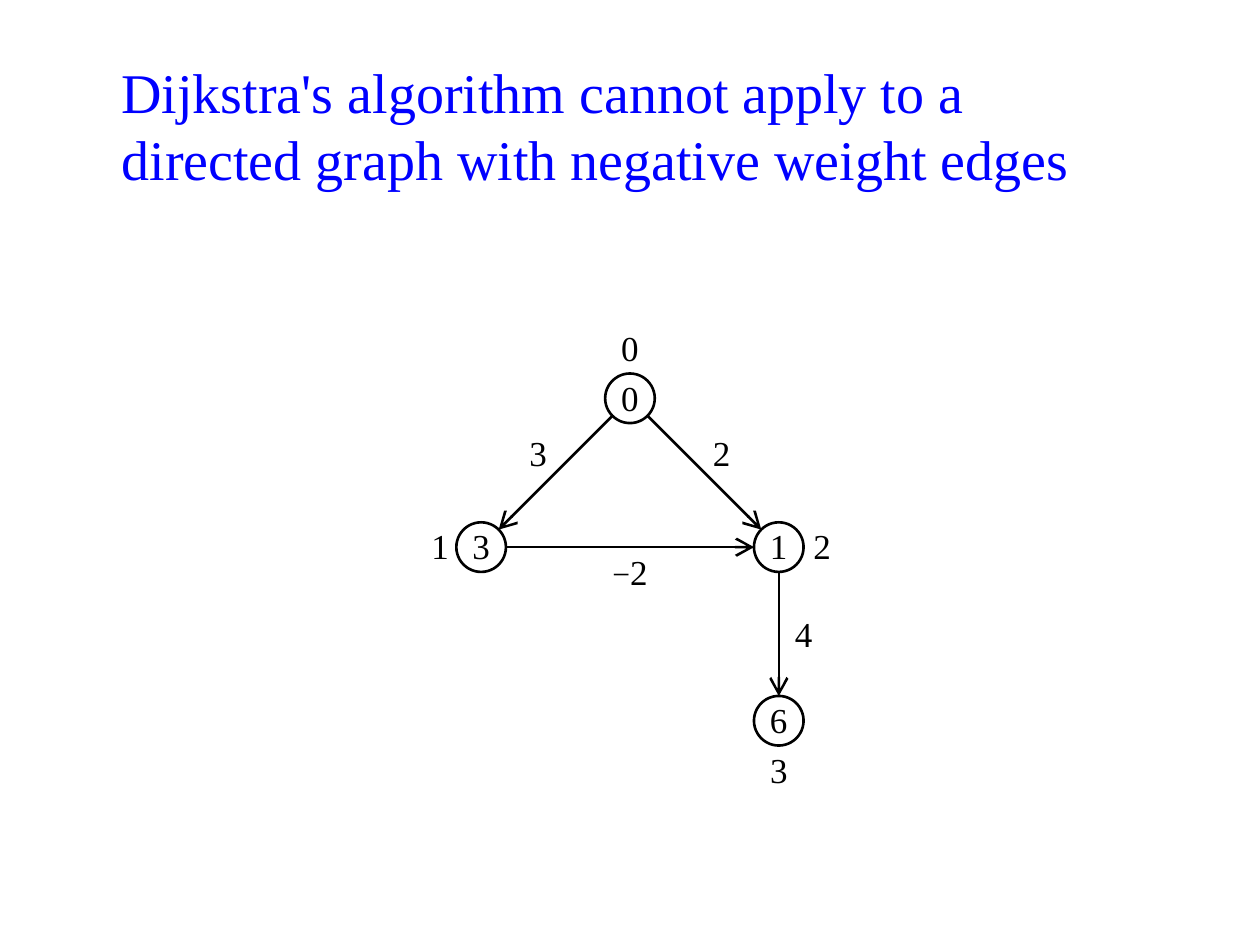
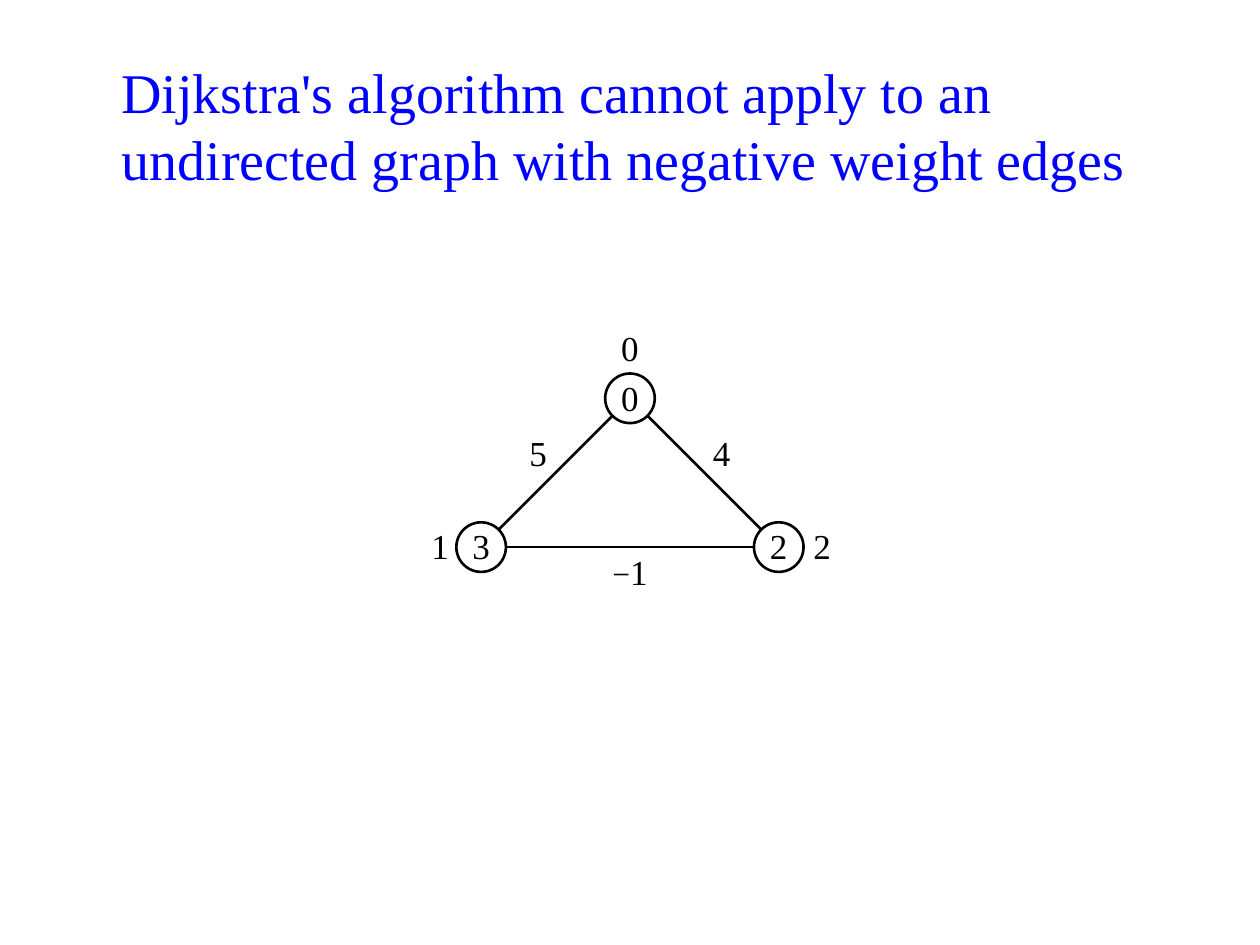
from math import hypot

from lxml.etree import SubElement
from pptx import Presentation
from pptx.dml.color import RGBColor
from pptx.enum.shapes import MSO_CONNECTOR as Link, MSO_SHAPE as Form
from pptx.enum.text import MSO_ANCHOR as Anchor, PP_ALIGN as Align
from pptx.oxml.ns import qn
from pptx.util import Cm, Pt

BLUE = RGBColor(0x00, 0x00, 0xFF)
BLACK = RGBColor(0x00, 0x00, 0x00)
WHITE = RGBColor(0xFF, 0xFF, 0xFF)
FONT = "Times New Roman"
SIZE = 1
STEP = 3
MID_X, TOP_Y = 12.7, 8.03

SPOTS = {
    "top": (MID_X, TOP_Y),
    "left": (MID_X - STEP, TOP_Y + STEP),
    "right": (MID_X + STEP, TOP_Y + STEP),
    "low": (MID_X + STEP, TOP_Y + STEP + 3.5),
}
EVEN = (0.25, 0, 0.25, 0.05)
FLAT = (0, 0, 0, 0)
TAGS = {
    "top": ("0", 0, -1, Align.CENTER, EVEN),
    "left": ("1", -1, 0, Align.RIGHT, (0.25, 0, 0.15, 0.05)),
    "right": ("2", 1, 0, Align.LEFT, (0.2, 0, 0.25, 0.05)),
    "low": ("3", 0, 1, Align.CENTER, EVEN),
}
EDGES = {
    ("top", "left"): (-0.5, -0.5, (0.3, 0.2, 0, 0)),
    ("top", "right"): (0.5, -0.5, (0, 0.2, 0.3, 0)),
    ("left", "right"): (0, 0.5, FLAT),
    ("right", "low"): (0.5, 0, FLAT),
}


def add_run(para, text, size, color):
    """Append one run in the shared font."""
    run = para.add_run()
    run.text = text
    run.font.name = FONT
    run.font.size = Pt(size)
    run.font.color.rgb = color


def set_frame(frame, insets, wrap):
    """Set insets, wrapping and middle anchoring of a text frame."""
    left, top, right, bottom = map(Cm, insets)
    frame.margin_left, frame.margin_top = left, top
    frame.margin_right, frame.margin_bottom = right, bottom
    frame.vertical_anchor = Anchor.MIDDLE
    frame.word_wrap = wrap


def write_mark(shape, text, align, insets):
    """Write a number into a shape, with a smaller minus sign."""
    set_frame(shape.text_frame, insets, False)
    para = shape.text_frame.paragraphs[0]
    para.alignment = align
    for sign in text:
        add_run(para, sign, 18 if sign == "−" else 20, BLACK)


def get_box(x, y):
    """Return the square of one unit centred on a point."""
    return Cm(x - SIZE / 2), Cm(y - SIZE / 2), Cm(SIZE), Cm(SIZE)


def add_title(slide, text):
    """Add the blue slide title."""
    box = slide.shapes.add_textbox(Cm(2.2), Cm(1.02), Cm(21), Cm(3))
    set_frame(box.text_frame, (0.25, 0.13, 0.25, 0.13), True)
    add_run(box.text_frame.paragraphs[0], text, 32, BLUE)


def add_label(slide, x, y, text, align, insets):
    """Add a number centred on a point."""
    write_mark(slide.shapes.add_textbox(*get_box(x, y)), text, align, insets)


def add_node(slide, spot, text):
    """Add a circled value and the index tag beside it."""
    x, y = SPOTS[spot]
    node = slide.shapes.add_shape(Form.OVAL, *get_box(x, y))
    node.shadow.inherit = False
    node.fill.solid()
    node.fill.fore_color.rgb = WHITE
    node.line.color.rgb = BLACK
    node.line.width = Pt(1.5)
    write_mark(node, text, Align.CENTER, EVEN)
    tag, dx, dy, align, insets = TAGS[spot]
    add_label(slide, x + dx, y + dy, tag, align, insets)


def add_edge(slide, ends, weight, arrow):
    """Join the rims of two nodes and label the line with its weight."""
    (x1, y1), (x2, y2) = (SPOTS[end] for end in ends)
    ratio = SIZE / 2 / hypot(x2 - x1, y2 - y1)
    gap_x, gap_y = (x2 - x1) * ratio, (y2 - y1) * ratio
    line = slide.shapes.add_connector(
        Link.STRAIGHT,
        Cm(x1 + gap_x), Cm(y1 + gap_y), Cm(x2 - gap_x), Cm(y2 - gap_y),
    )
    line.line.color.rgb = BLACK
    line.line.width = Pt(1.5)
    props = line._element.spPr
    if arrow:
        SubElement(props.get_or_add_ln(), qn("a:tailEnd"),
                   type="arrow", w="lg", len="lg")
    SubElement(props, qn("a:effectLst"))
    dx, dy, insets = EDGES[ends]
    add_label(slide, (x1 + x2) / 2 + dx, (y1 + y2) / 2 + dy, weight,
              Align.CENTER, insets)


def add_graph(deck, title, values, weights, arrow):
    """Add a slide with a title and a weighted graph."""
    slide = deck.slides.add_slide(deck.slide_layouts[6])
    add_title(slide, title)
    for spot, value in zip(SPOTS, values):
        add_node(slide, spot, value)
    for ends, weight in zip(EDGES, weights):
        add_edge(slide, ends, weight, arrow)


def main():
    """Build and save the two slides."""
    deck = Presentation()
    deck.slide_width, deck.slide_height = Cm(25.4), Cm(19.05)
    start = "Dijkstra's algorithm cannot apply to"
    end = "directed graph with negative weight edges"
    add_graph(deck, f"{start} a {end}",
              ("0", "3", "1", "6"), ("3", "2", "−2", "4"), True)
    add_graph(deck, f"{start} an un{end}",
              ("0", "3", "2"), ("5", "4", "−1"), False)
    deck.save("out.pptx")


if __name__ == "__main__":
    main()
